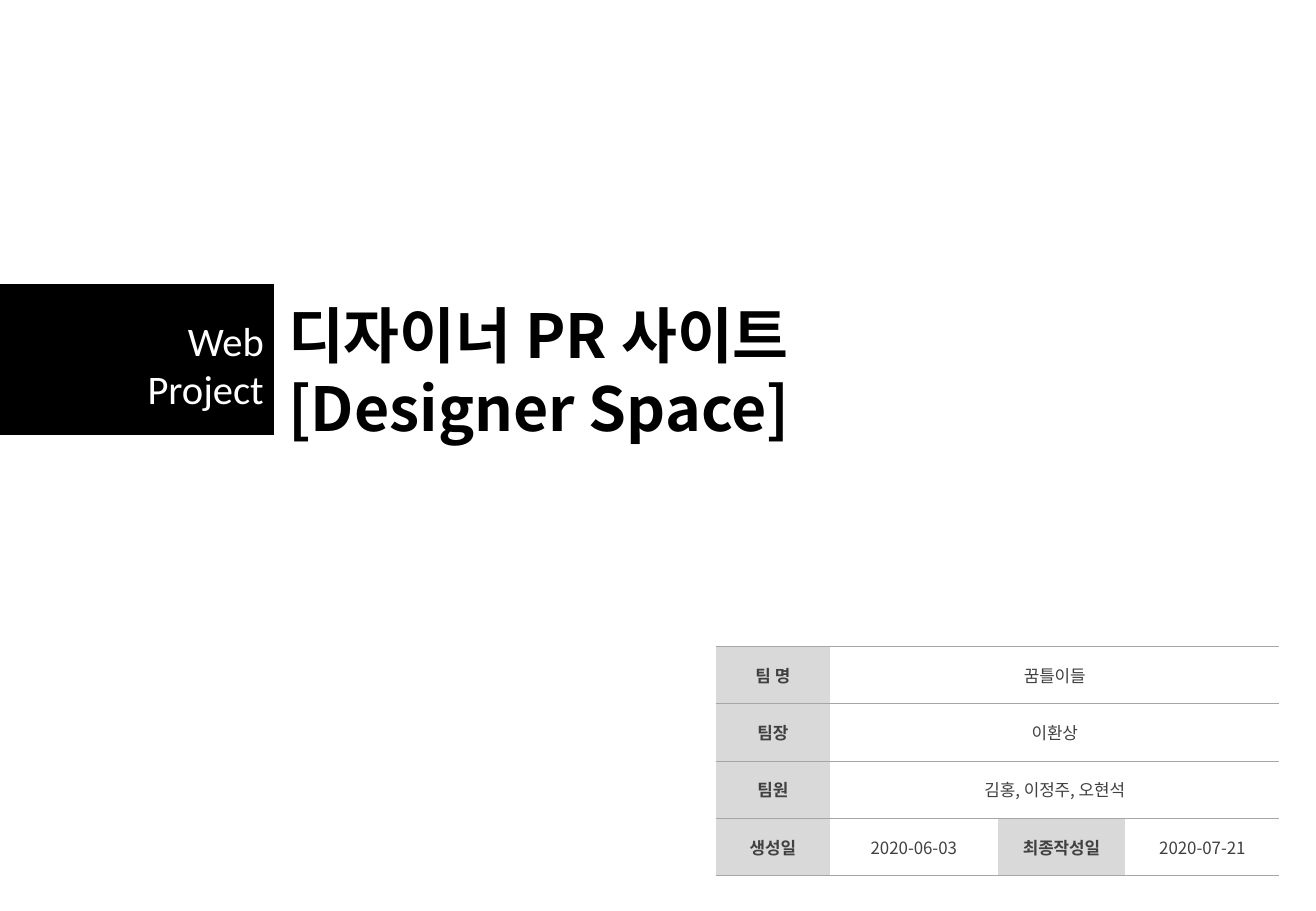
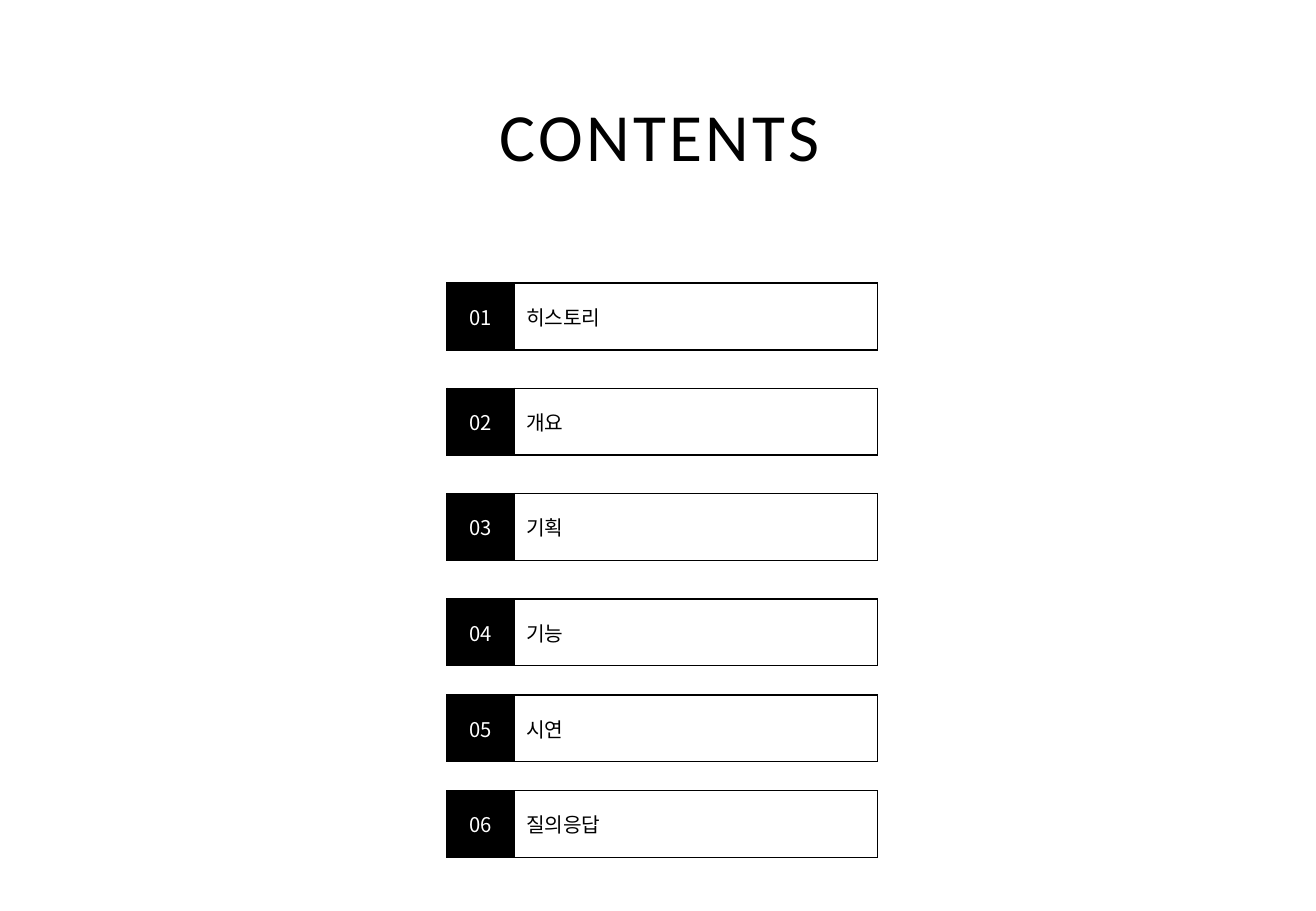
from pptx import Presentation
from pptx.dml.color import RGBColor
from pptx.enum.shapes import MSO_SHAPE
from pptx.enum.text import MSO_ANCHOR, MSO_AUTO_SIZE, PP_ALIGN
from pptx.oxml.ns import qn
from pptx.util import Inches, Pt
from lxml import etree

BLACK = RGBColor(0x00, 0x00, 0x00)
WHITE = RGBColor(0xFF, 0xFF, 0xFF)
DARK_GREY = RGBColor(0x40, 0x40, 0x40)
MID_GREY = RGBColor(0xA6, 0xA6, 0xA6)
LIGHT_GREY = RGBColor(0xD9, 0xD9, 0xD9)
KOREAN = "Noto Sans CJK KR"
LATIN = "Calibri"
LEFT, CENTER, RIGHT = PP_ALIGN.LEFT, PP_ALIGN.CENTER, PP_ALIGN.RIGHT
TOP, MIDDLE = MSO_ANCHOR.TOP, MSO_ANCHOR.MIDDLE
NO_AUTOFIT = MSO_AUTO_SIZE.NONE
RECTANGLE = MSO_SHAPE.RECTANGLE
TITLE_ONLY = 5
EDGES = ("L", "R", "T", "B")


def inches(*lengths):
    return [Inches(length) for length in lengths]


def write_lines(frame, lines, size, font, color, align=LEFT, bold=False, spacing=0):
    for index, line in enumerate(lines):
        para = frame.paragraphs[0] if index == 0 else frame.add_paragraph()
        para.alignment = align
        span = para.add_run()
        span.text = line
        span.font.size = Pt(size)
        span.font.name = font
        span.font.bold = bold
        span.font.color.rgb = color
        properties = span.font._element
        etree.SubElement(properties, qn("a:ea")).set("typeface", KOREAN)
        if spacing:
            properties.set("spc", str(spacing * 100))


def prepare_frame(frame):
    frame.word_wrap = True
    frame.auto_size = NO_AUTOFIT
    frame.vertical_anchor = TOP


def place_title(page, box, lines, size, font, **style):
    title = page.shapes.title
    title.left, title.top, title.width, title.height = inches(*box)
    prepare_frame(title.text_frame)
    write_lines(title.text_frame, lines, size, font, BLACK, **style)


def set_borders(cell, color, width, edges):
    properties = cell._tc.get_or_add_tcPr()
    for index, edge in enumerate(EDGES):
        line = etree.Element(qn(f"a:ln{edge}"), w=str(Pt(width)))
        if edge in edges:
            fill = etree.SubElement(line, qn("a:solidFill"))
            etree.SubElement(fill, qn("a:srgbClr")).set("val", str(color))
        else:
            etree.SubElement(line, qn("a:noFill"))
        properties.insert(index, line)


def add_grid(page, box, rows, widths):
    table = page.shapes.add_table(rows, len(widths), *inches(*box)).table
    table.first_row = False
    table.horz_banding = False
    for column, width in zip(table.columns, widths):
        column.width = Inches(width)
    return table


def fill_cell(cell, text, fill, *style, **options):
    cell.vertical_anchor = MIDDLE
    if fill is None:
        cell.fill.background()
    else:
        cell.fill.solid()
        cell.fill.fore_color.rgb = fill
    if text:
        write_lines(cell.text_frame, [text], *style, **options)


def add_band(page, box, lines):
    left, top, width, height = box
    band = page.shapes.add_shape(RECTANGLE, *inches(*box))
    band.shadow.inherit = False
    band.fill.solid()
    band.fill.fore_color.rgb = BLACK
    band.line.color.rgb = WHITE
    band.line.width = Pt(0.75)
    label = page.shapes.add_textbox(*inches(left, top + 0.22, width + 0.01, height - 0.29))
    prepare_frame(label.text_frame)
    write_lines(label.text_frame, lines, 24, LATIN, WHITE, align=RIGHT)


def add_team_table(page, box, rows):
    table = add_grid(page, box, len(rows), (0.94, 1.38, 1.05, 1.27))
    for row_index, row in enumerate(rows):
        if len(row) == 2:
            table.cell(row_index, 1).merge(table.cell(row_index, 3))
        for column_index in range(4):
            cell = table.cell(row_index, column_index)
            text = row[column_index] if column_index < len(row) else ""
            heading = column_index % 2 == 0 and bool(text)
            fill_cell(cell, text, LIGHT_GREY if heading else WHITE,
                      10, KOREAN, DARK_GREY, align=CENTER, bold=heading)
            set_borders(cell, MID_GREY, 0.5, "TB")


def add_entry(page, box, number, label):
    height = box[3]
    table = add_grid(page, box, 1, (height, box[2] - height))
    number_cell, label_cell = table.cell(0, 0), table.cell(0, 1)
    fill_cell(number_cell, f"{number:02d}", BLACK, 12, KOREAN, WHITE, align=CENTER)
    fill_cell(label_cell, label, None, 12, LATIN, BLACK)
    for cell in (number_cell, label_cell):
        set_borders(cell, BLACK, 1, EDGES)


def add_entries(page, box, labels):
    left, top, width, height = box
    wide_step, narrow_step = 2.6 / 3, 0.79
    for index, label in enumerate(labels):
        offset = wide_step * min(index, 3) + narrow_step * max(index - 3, 0)
        add_entry(page, (left, top + offset, width, height), index + 1, label)


def build_cover(deck):
    page = deck.slides.add_slide(deck.slide_layouts[TITLE_ONLY])
    place_title(page, (2.27, 2.4, 7.07, 1.25),
                ["디자이너 PR 사이트", "[Designer Space]"], 36, KOREAN, bold=True)
    add_band(page, (-0.1, 2.33, 2.36, 1.26), ["Web", "Project"])
    add_team_table(page, (5.89, 5.32, 4.65, 1.89), [
        ("팀 명", "꿈틀이들"),
        ("팀장", "이환상"),
        ("팀원", "김홍, 이정주, 오현석"),
        ("생성일", "2020-06-03", "최종작성일", "2020-07-21"),
    ])


def build_contents(deck):
    page = deck.slides.add_slide(deck.slide_layouts[TITLE_ONLY])
    place_title(page, (3.62, 0.72, 3.62, 1.01), ["CONTENTS"], 40, LATIN,
                align=CENTER, spacing=2)
    add_entries(page, (3.68, 2.33, 3.54, 0.55),
                ["히스토리", "개요", "기획", "기능", "시연", "질의응답"])


def main():
    deck = Presentation()
    deck.slide_width, deck.slide_height = inches(10.83, 7.5)
    build_cover(deck)
    build_contents(deck)
    deck.save("out.pptx")


if __name__ == "__main__":
    main()
